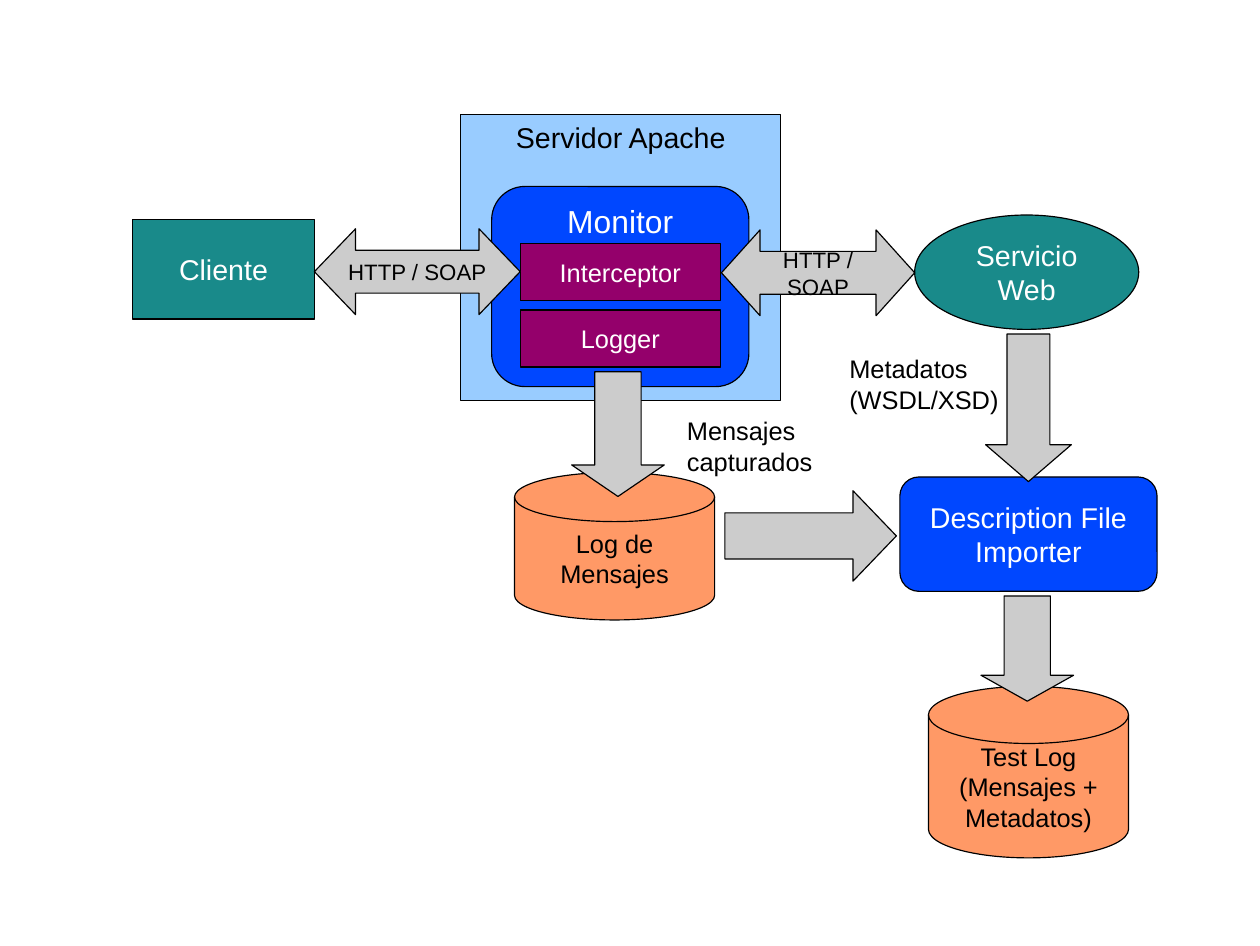
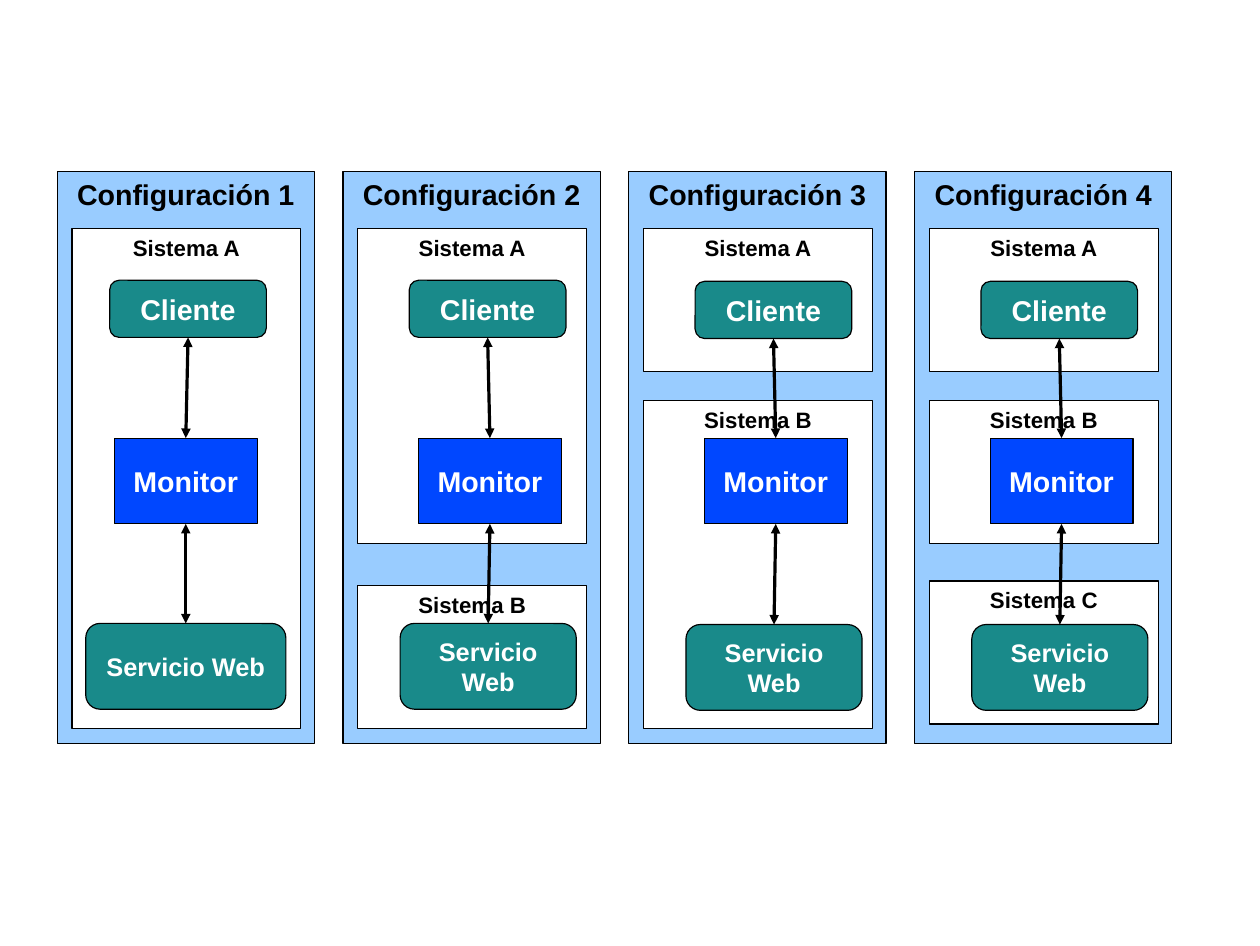
"""Build two diagrams of a web service monitor and its deployment configurations."""
import dataclasses

import lxml.etree
import pptx
import pptx.dml.color
import pptx.enum.shapes
import pptx.enum.text
import pptx.oxml.ns
import pptx.util

Inches = pptx.util.Inches
Geometry = pptx.enum.shapes.MSO_SHAPE
Anchor = pptx.enum.text.MSO_ANCHOR
Align = pptx.enum.text.PP_ALIGN


@dataclasses.dataclass(frozen=True)
class Theme:
    """Colours, type sizes and line width shared by the slides."""
    font: str = "Arial"
    black: str = "000000"
    white: str = "FFFFFF"
    sky: str = "99CCFF"
    blue: str = "0047FF"
    teal: str = "198A8A"
    purple: str = "94006B"
    orange: str = "FF9966"
    grey: str = "CCCCCC"
    heading: int = 20
    title: int = 18
    body: int = 16
    label: int = 14
    line_width: int = 0


@dataclasses.dataclass(frozen=True)
class Style:
    """Look of one kind of diagram element."""
    geometry: Geometry
    fill: str
    color: str
    size: int
    anchor: Anchor = Anchor.MIDDLE
    bold: bool = False


@dataclasses.dataclass(frozen=True)
class Configuration:
    """Systems as (name, top, height) and places of the parts in a column."""
    systems: tuple
    client_left: float = 0.58
    monitor_left: float = 0.66
    service_left: float = 0.5
    service_width: float = 1.54
    client_top: float = 2.46
    service_top: float = 5.46


THEME = Theme()

SERVER = Style(Geometry.RECTANGLE, THEME.sky, THEME.black, THEME.title, Anchor.TOP)
MODULE_GROUP = Style(Geometry.ROUNDED_RECTANGLE, THEME.blue, THEME.white, THEME.heading, Anchor.TOP)
IMPORTER = Style(Geometry.ROUNDED_RECTANGLE, THEME.blue, THEME.white, THEME.title)
SERVICE = Style(Geometry.OVAL, THEME.teal, THEME.white, THEME.title)
CLIENT = Style(Geometry.RECTANGLE, THEME.teal, THEME.white, THEME.title)
MODULE = Style(Geometry.RECTANGLE, THEME.purple, THEME.white, THEME.body)
STORE = Style(Geometry.FLOWCHART_MAGNETIC_DISK, THEME.orange, THEME.black, THEME.body)
EXCHANGE = Style(Geometry.LEFT_RIGHT_ARROW, THEME.grey, THEME.black, THEME.label)
FLOW_DOWN = dataclasses.replace(EXCHANGE, geometry=Geometry.DOWN_ARROW)
FLOW_RIGHT = dataclasses.replace(EXCHANGE, geometry=Geometry.RIGHT_ARROW)

COLUMN = dataclasses.replace(SERVER, bold=True)
SYSTEM = dataclasses.replace(COLUMN, fill=THEME.white, size=THEME.label)
COLUMN_CLIENT = dataclasses.replace(CLIENT, geometry=Geometry.ROUNDED_RECTANGLE, bold=True)
COLUMN_SERVICE = dataclasses.replace(COLUMN_CLIENT, size=THEME.body)
COLUMN_MONITOR = dataclasses.replace(CLIENT, fill=THEME.blue, bold=True)

ARCHITECTURE = (
    (SERVER, (4.03, 1, 2.8, 2.5), "Servidor Apache", ()),
    (MODULE_GROUP, (4.3, 1.63, 2.25, 1.75), "Monitor", ()),
    (IMPORTER, (7.87, 4.17, 2.25, 1), "Description File\nImporter", ()),
    (SERVICE, (8, 1.88, 1.96, 1), "Servicio\nWeb", ()),
    (CLIENT, (1.16, 1.92, 1.59, 0.87), "Cliente", ()),
    (STORE, (8.12, 6, 1.75, 1.5), "Test Log\n(Mensajes +\nMetadatos)", ()),
    (MODULE, (4.55, 2.13, 1.75, 0.5), "Interceptor", ()),
    (MODULE, (4.55, 2.71, 1.75, 0.5), "Logger", ()),
    (EXCHANGE, (2.75, 2, 1.8, 0.75), "HTTP / SOAP", (0.5, 0.48)),
    (EXCHANGE, (6.31, 2.01, 1.69, 0.75), "HTTP / SOAP", (0.5, 0.45)),
    (FLOW_DOWN, (8.62, 2.92, 0.75, 1.29), "", (0.5, 0.43)),
    (FLOW_RIGHT, (6.34, 4.29, 1.5, 0.79), "", (0.51, 0.48)),
    (STORE, (4.5, 4.13, 1.75, 1.29), "Log de\nMensajes", ()),
    (FLOW_DOWN, (8.58, 5.21, 0.81, 0.92), "", (0.5, 0.28)),
    (FLOW_DOWN, (5, 3.25, 0.81, 1.09), "", (0.5, 0.34)),
)

CAPTIONS = (
    ((5.91, 3.58, 1.39, 0.59), "Mensajes capturados"),
    ((7.33, 3.04, 1.75, 0.59), "Metadatos\n(WSDL/XSD)"),
)

CONFIGURATIONS = (
    Configuration((("A", 2, 4.37),), 0.46, 0.5, 0.25, 1.75, 2.45, 5.45),
    Configuration((("A", 2, 2.75), ("B", 5.12, 1.25)), client_top=2.45, service_top=5.45),
    Configuration((("A", 2, 1.25), ("B", 3.5, 2.87))),
    Configuration((("A", 2, 1.25), ("B", 3.5, 1.25), ("C", 5.08, 1.25))),
)


def rgb(color):
    """Return the colour object for a hexadecimal string."""
    return pptx.dml.color.RGBColor.from_string(color)


def set_values(target, values):
    """Set attributes of an object from a dict."""
    for name, value in values.items():
        setattr(target, name, value)


def write_text(shape, text, size, color, bold=False, alignment=Align.CENTER, anchor=Anchor.TOP):
    """Fill a shape with formatted paragraphs."""
    frame = shape.text_frame
    set_values(frame, {"text": text, "word_wrap": True, "vertical_anchor": anchor})
    for paragraph in frame.paragraphs:
        paragraph.alignment = alignment
        set_values(paragraph.font, {"name": THEME.font, "size": pptx.util.Pt(size), "bold": bold})
        paragraph.font.color.rgb = rgb(color)


def set_line(line):
    """Give an outline the shared colour and width."""
    line.color.rgb = rgb(THEME.black)
    line.width = pptx.util.Pt(THEME.line_width)


def add_element(slide, style, box, text="", adjustments=()):
    """Add a preset shape in a given style."""
    shape = slide.shapes.add_shape(style.geometry, *map(Inches, box))
    shape.shadow.inherit = False
    shape.fill.solid()
    shape.fill.fore_color.rgb = rgb(style.fill)
    set_line(shape.line)
    for index, value in enumerate(adjustments):
        shape.adjustments[index] = value
    if text:
        write_text(shape, text, style.size, style.color, style.bold, anchor=style.anchor)
    return shape


def add_caption(slide, box, text):
    """Add a left-aligned text box."""
    caption = slide.shapes.add_textbox(*map(Inches, box))
    write_text(caption, text, THEME.body, THEME.black, alignment=Align.LEFT)


def add_link(slide, upper, lower):
    """Join two shapes vertically with a double-headed arrow."""
    bottom_site, top_site = 2, 0
    link = slide.shapes.add_connector(pptx.enum.shapes.MSO_CONNECTOR.STRAIGHT, 0, 0, 0, 0)
    link.begin_connect(upper, bottom_site)
    link.end_connect(lower, top_site)
    set_line(link.line)
    line = link.line._get_or_add_ln()
    for end in ("a:headEnd", "a:tailEnd"):
        lxml.etree.SubElement(line, pptx.oxml.ns.qn(end), type="triangle")
    lxml.etree.SubElement(link._element.spPr, pptx.oxml.ns.qn("a:effectLst"))


def add_configuration(slide, number, configuration):
    """Add one column with its systems, parts and links."""
    left = 0.5 + 2.5 * (number - 1)
    add_element(slide, COLUMN, (left, 1.5, 2.25, 5), f"Configuración {number}")
    for name, top, height in configuration.systems:
        add_element(slide, SYSTEM, (left + 0.13, top, 2, height), f"Sistema {name}")
    client = add_element(
        slide, COLUMN_CLIENT,
        (left + configuration.client_left, configuration.client_top, 1.37, 0.5), "Cliente")
    service = add_element(
        slide, COLUMN_SERVICE,
        (left + configuration.service_left, configuration.service_top,
         configuration.service_width, 0.75), "Servicio Web")
    monitor = add_element(
        slide, COLUMN_MONITOR, (left + configuration.monitor_left, 3.83, 1.25, 0.75), "Monitor")
    add_link(slide, client, monitor)
    add_link(slide, monitor, service)


def add_blank_slide(presentation):
    """Add a slide with the blank layout."""
    return presentation.slides.add_slide(presentation.slide_layouts[6])


def main():
    """Build and save the presentation."""
    presentation = pptx.Presentation()
    set_values(presentation, {"slide_width": Inches(11.02), "slide_height": Inches(8.27)})

    architecture = add_blank_slide(presentation)
    for element in ARCHITECTURE:
        add_element(architecture, *element)
    for caption in CAPTIONS:
        add_caption(architecture, *caption)

    deployment = add_blank_slide(presentation)
    for number, configuration in enumerate(CONFIGURATIONS, start=1):
        add_configuration(deployment, number, configuration)

    presentation.save("out.pptx")


if __name__ == "__main__":
    main()
